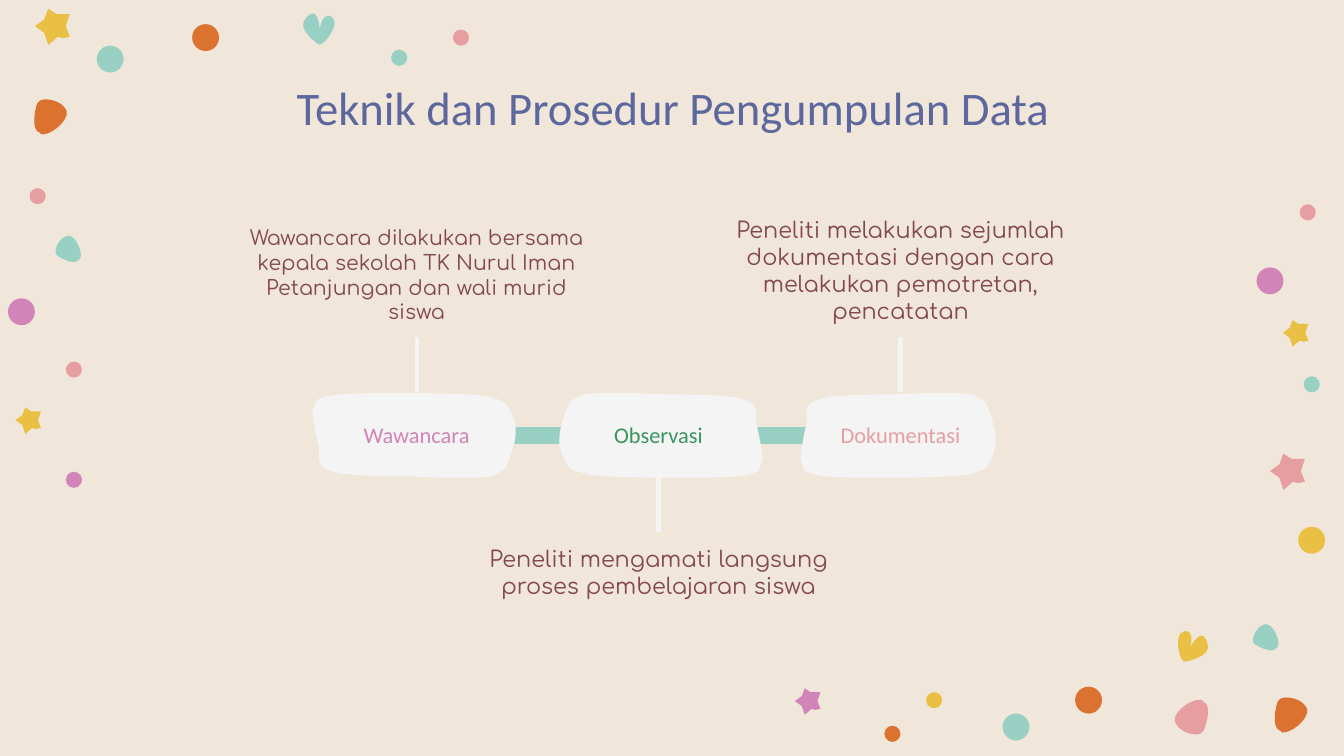
from dataclasses import dataclass
from math import cos, radians, sin

from lxml.etree import SubElement
from pptx import Presentation
from pptx.dml.color import RGBColor
from pptx.enum.shapes import MSO_CONNECTOR, MSO_SHAPE
from pptx.enum.text import MSO_ANCHOR, MSO_AUTO_SIZE, PP_ALIGN
from pptx.oxml.ns import qn
from pptx.util import Inches, Pt


@dataclass(frozen=True)
class Theme:
    """Colours, fonts and type sizes."""
    sand: str = "F0E6DA"
    white: str = "F4F4F4"
    teal: str = "98D0C3"
    pink: str = "E69EA1"
    mauve: str = "D184B7"
    gold: str = "EAC044"
    rust: str = "DB722F"
    green: str = "38965D"
    blue: str = "5C679E"
    wine: str = "844851"
    head: str = "Calibri"
    body: str = "Comfortaa"
    big: int = 25
    mid: int = 12
    small: int = 11


BEAN = ((12, 13), [
    (4, 0, 1, 1, 0, 5), (0, 5, -5, 23, 3, 25), (3, 26, 4, 26, 5, 26),
    (13, 26, 28, 12, 21, 6), (18, 2, 12, 0, 7, 0)])
HEART = ((16, 11), [
    (19, 1, 18, 13, 18, 13), (18, 13, 17, 1, 13, 1), (12, 1, 10, 2, 8, 4),
    (-1, 12, 17, 24, 17, 24), (17, 24, 18, 24, 18, 24),
    (21, 25, 34, 8, 27, 4), (26, 3, 26, 3, 26, 3)])
CARD = ((77.5, 31.5), [
    (43, 0, 22, 0, 13, 2), (2, 4, 3, 5, 0, 14), (0, 18, 3, 34, 5, 41),
    (6, 47, 0, 55, 17, 59), (30, 62, 56, 62, 73, 62),
    (86, 63, 98, 63, 110, 63), (113, 63, 116, 63, 118, 63),
    (123, 63, 128, 63, 131, 62), (134, 62, 136, 61, 137, 60),
    (142, 58, 144, 56, 145, 53), (151, 38, 156, 23, 144, 8),
    (143, 7, 142, 6, 139, 5), (136, 4, 132, 3, 127, 2),
    (112, 0, 80, 0, 64, 0), (62, 0, 59, 0, 56, 0)])
STAR = [(10, 0), (7, 8), (0, 13), (7, 18), (10, 27), (17, 21), (21, 22),
        (26, 21), (23, 13), (26, 4), (23, 4), (16, 4)]


def trace(figure, steps=8):
    """Return the points of a closed curve, measured from its centre."""
    (mid_x, mid_y), curves = figure
    x, y = curves[-1][4:]
    points = []
    for a, b, c, d, e, f in curves:
        for step in range(1, steps + 1):
            t = step / steps
            u = 1 - t
            points.append((
                u**3 * x + 3 * u * u * t * a + 3 * u * t * t * c + t**3 * e - mid_x,
                u**3 * y + 3 * u * u * t * b + 3 * u * t * t * d + t**3 * f - mid_y))
        x, y = e, f
    return points


class Board:
    """Style and current slide."""

    def __init__(self, theme, slide):
        """Keep the theme and paint the background."""
        self.theme, self.slide = theme, slide
        slide.background.fill.solid()
        slide.background.fill.fore_color.rgb = RGBColor.from_string(theme.sand)

    def paint(self, shape, color):
        """Fill a shape flatly."""
        shape.shadow.inherit = False
        shape.fill.solid()
        shape.fill.fore_color.rgb = RGBColor.from_string(color)
        shape.line.fill.background()

    def dot(self, x, y, size, color):
        """Draw a disc around a centre."""
        self.paint(self.slide.shapes.add_shape(
            MSO_SHAPE.OVAL, Inches(x - size / 2), Inches(y - size / 2),
            Inches(size), Inches(size)), color)

    def form(self, points, x, y, color, wide=1, high=1, turn=0):
        """Draw a closed outline, scaled and turned around a centre."""
        c, s = cos(radians(turn)), sin(radians(turn))
        sized = [(px * wide / 100, py * high / 100) for px, py in points]
        spots = [(Inches(x + px * c - py * s), Inches(y + px * s + py * c))
                 for px, py in sized]
        pen = self.slide.shapes.build_freeform(*spots[0])
        pen.add_line_segments(spots[1:], close=True)
        self.paint(pen.convert_to_shape(), color)

    def line(self, start, end, color, width):
        """Draw a straight connector."""
        link = self.slide.shapes.add_connector(
            MSO_CONNECTOR.STRAIGHT, *map(Inches, start + end))
        link.line.color.rgb = RGBColor.from_string(color)
        link.line.width = Pt(width)
        SubElement(link._element.spPr, qn("a:effectLst"))

    def style(self, shape, words, font, size, color, anchor):
        """Set centred words in a box."""
        frame = shape.text_frame
        frame.text = words
        frame.word_wrap = True
        frame.auto_size = MSO_AUTO_SIZE.NONE
        frame.vertical_anchor = anchor
        frame.margin_left = frame.margin_right = Inches(0.1)
        frame.margin_top = frame.margin_bottom = Inches(0.1)
        line = frame.paragraphs[0]
        line.alignment = PP_ALIGN.CENTER
        face = line.runs[0].font
        face.name, face.size = font, Pt(size)
        face.color.rgb = RGBColor.from_string(color)

    def title(self, words, box):
        """Fill and place the title."""
        shape = self.slide.shapes.title
        shape.left, shape.top, shape.width, shape.height = map(Inches, box)
        self.style(shape, words, self.theme.head, self.theme.big,
                   self.theme.blue, MSO_ANCHOR.TOP)

    def text(self, words, box, *look):
        """Add a text box."""
        self.style(self.slide.shapes.add_textbox(*map(Inches, box)), words, *look)


def main():
    """Build the slide."""
    deck = Presentation()
    deck.slide_width, deck.slide_height = Inches(10), Inches(10 * 9 / 16)
    hue = Theme()
    board = Board(hue, deck.slides.add_slide(deck.slide_layouts[5]))

    large, small = 0.2, 0.12
    for x, y, size, color in [
            (0.16, 2.32, large, hue.mauve), (0.28, 1.46, small, hue.pink),
            (1.53, 0.28, large, hue.rust), (3.43, 0.28, small, hue.pink),
            (0.82, 0.44, large, hue.teal), (9.76, 4.02, large, hue.gold),
            (8.1, 5.21, large, hue.rust), (6.95, 5.21, small, hue.gold),
            (9.76, 2.86, small, hue.teal), (7.56, 5.41, large, hue.teal),
            (0.55, 3.57, small, hue.mauve), (6.64, 5.46, small, hue.rust),
            (0.55, 2.75, small, hue.pink), (2.97, 0.43, small, hue.teal),
            (9.45, 2.09, large, hue.mauve), (9.73, 1.58, small, hue.pink)]:
        board.dot(x, y, size, color)

    star = [(x - 13, y - 13.5) for x, y in STAR]
    for x, y, size, color in [
            (0.39, 0.2, 1, hue.gold), (9.58, 3.51, 1, hue.pink),
            (6.01, 5.22, 0.73, hue.mauve), (9.64, 2.48, 0.73, hue.gold),
            (0.21, 3.13, 0.73, hue.gold)]:
        board.form(star, x, y, color, size, size)

    bean, heart, card = map(trace, (BEAN, HEART, CARD))
    for x, y, size, turn, color in [
            (0.52, 1.84, 0.75, 286, hue.teal), (9.43, 4.73, 0.75, 286, hue.teal),
            (0.39, 0.87, 1, 0, hue.rust), (9.62, 5.32, 1, 0, hue.rust),
            (8.85, 5.33, 1, 185, hue.pink)]:
        board.form(bean, x, y, color, size, size, turn)
    board.form(heart, 2.36, 0.2, hue.teal)
    board.form(heart, 8.88, 4.81, hue.gold, wide=-1, turn=25)

    board.title("Teknik dan Prosedur Pengumpulan Data", (0.79, 0.49, 8.43, 0.63))
    board.line((7.38, 3.24), (2.58, 3.24), hue.teal, 9)
    steps = [
        ("Wawancara", hue.mauve, 1, 1, hue.small,
         "Wawancara dilakukan bersama kepala sekolah TK Nurul Iman "
         "Petanjungan dan wali murid siswa"),
        ("Observasi", hue.green, -1, -1, hue.mid,
         "Peneliti mengamati langsung proses pembelajaran siswa"),
        ("Dokumentasi", hue.pink, 0.96, -1, hue.mid,
         "Peneliti melakukan sejumlah dokumentasi dengan cara melakukan "
         "pemotretan, pencatatan")]
    for index, (name, color, wide, high, size, words) in enumerate(steps):
        x = 3.1 + 1.8 * index
        below = index % 2
        near, far, top = (3.55, 3.96, 3.96) if below else (2.92, 2.51, 1.88)
        board.form(card, x, 3.24, hue.white, wide, high)
        board.line((x, near), (x, far), hue.white, 2.25)
        board.text(name, (x - 0.77, 3.07, 1.54, 0.33), hue.head, hue.mid,
                   color, MSO_ANCHOR.MIDDLE)
        board.text(words, (x - 1.4, top, 2.8, 0.63), hue.body, size, hue.wine,
                   MSO_ANCHOR.TOP if below else MSO_ANCHOR.BOTTOM)
    deck.save("out.pptx")


if __name__ == "__main__":
    main()
